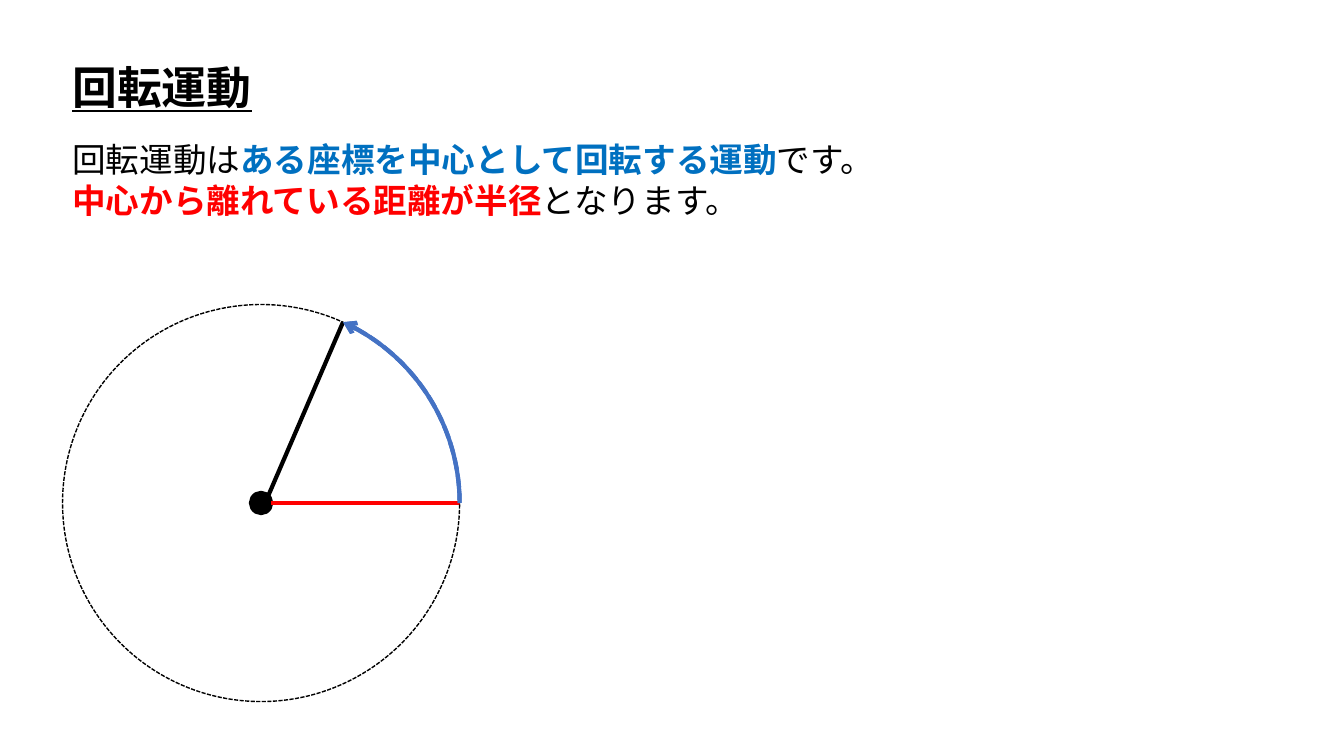
import math
from dataclasses import dataclass

import pptx
import pptx.dml.color
import pptx.enum.dml
import pptx.enum.shapes
import pptx.enum.text
import pptx.oxml.ns
import pptx.util
from lxml import etree


@dataclass(frozen=True)
class Theme:
    font: str = "Noto Sans CJK JP"
    title_size: int = 32
    body_size: int = 24
    thick: int = 3
    thin: int = 1
    black: str = "000000"
    red: str = "FF0000"
    text_blue: str = "0070C0"
    arc_blue: str = "4472C4"


theme = Theme()
Pt = pptx.util.Pt
qn = pptx.oxml.ns.qn
rgb = pptx.dml.color.RGBColor.from_string
shape_types = pptx.enum.shapes.MSO_SHAPE


def add_text(position, lines, size, underline=None):
    """Add a text box; each line is a list of (text, colour, bold) runs."""
    text_box = slide.shapes.add_textbox(*map(Pt, position))
    text_frame = text_box.text_frame
    text_frame.word_wrap = False
    text_frame.auto_size = pptx.enum.text.MSO_AUTO_SIZE.SHAPE_TO_FIT_TEXT
    for index, line in enumerate(lines):
        paragraph = text_frame.add_paragraph() if index else text_frame.paragraphs[0]
        for text, color, bold in line:
            run = paragraph.add_run()
            run.text = text
            run.font.size = Pt(size)
            run.font.bold = bold
            run.font.underline = underline
            run.font.color.rgb = rgb(color)
            run.font.name = theme.font
            east_asian = etree.SubElement(run.font._element, qn("a:ea"))
            east_asian.set("typeface", theme.font)


def set_line(shape, color, width):
    """Set a shape's outline and switch off its shadow."""
    shape.line.color.rgb = rgb(color)
    shape.line.width = Pt(width)
    etree.SubElement(shape._element.spPr, qn("a:effectLst"))


presentation = pptx.Presentation()
presentation.slide_width = Pt(960)
presentation.slide_height = Pt(540)
slide = presentation.slides.add_slide(presentation.slide_layouts[6])

# Title and explanation
add_text((44.64, 38.9, 144, 46), [[("回転運動", theme.black, True)]],
         theme.title_size, underline=True)
add_text((44.64, 95.8, 596, 65.4), [
    [("回転運動は", theme.black, False),
     ("ある座標を中心として回転する運動", theme.text_blue, True),
     ("です。", theme.black, False)],
    [("中心から離れている距離が半径", theme.red, True),
     ("となります。", theme.black, False)],
], theme.body_size)

# Geometry of the circle; angles run clockwise from the right
center_x, center_y = 186.5, 359.3
radius, dot_radius = 141.8, 7.2
arrow_angle = 294.38
full_circle_start = 0.41
diagram = slide.shapes.add_group_shape()

# Center point
dot = diagram.shapes.add_shape(
    shape_types.OVAL, Pt(center_x - dot_radius), Pt(center_y - dot_radius),
    Pt(2 * dot_radius), Pt(2 * dot_radius))
dot.fill.solid()
dot.fill.fore_color.rgb = rgb(theme.black)
set_line(dot, theme.black, theme.thick)

# Radius in red and the rotated radius in black: dot angle, circle angle
for dot_angle, circle_angle, color in [
    (0, 0, theme.red),
    (315, arrow_angle, theme.black),
]:
    start, end = math.radians(dot_angle), math.radians(circle_angle)
    spoke = diagram.shapes.add_connector(
        pptx.enum.shapes.MSO_CONNECTOR.STRAIGHT,
        Pt(center_x + dot_radius * math.cos(start)),
        Pt(center_y + dot_radius * math.sin(start)),
        Pt(center_x + radius * math.cos(end)),
        Pt(center_y + radius * math.sin(end)))
    set_line(spoke, color, theme.thick)

# Arcs: start angle, colour, width, dashed, arrowhead
for start_angle, color, width, dashed, arrow in [
    (arrow_angle, theme.arc_blue, theme.thick, True, True),
    (full_circle_start, theme.black, theme.thin, True, False),
    (arrow_angle, theme.arc_blue, theme.thick, False, True),
]:
    arc = diagram.shapes.add_shape(
        shape_types.ARC, Pt(center_x - radius), Pt(center_y - radius),
        Pt(2 * radius), Pt(2 * radius))
    arc.adjustments[0] = start_angle * 0.6
    arc.adjustments[1] = 0
    arc.fill.background()
    set_line(arc, color, width)
    if dashed:
        arc.line.dash_style = pptx.enum.dml.MSO_LINE.SQUARE_DOT
    if arrow:
        line_element = arc._element.spPr.find(qn("a:ln"))
        etree.SubElement(line_element, qn("a:headEnd")).set("type", "arrow")

presentation.save("out.pptx")
